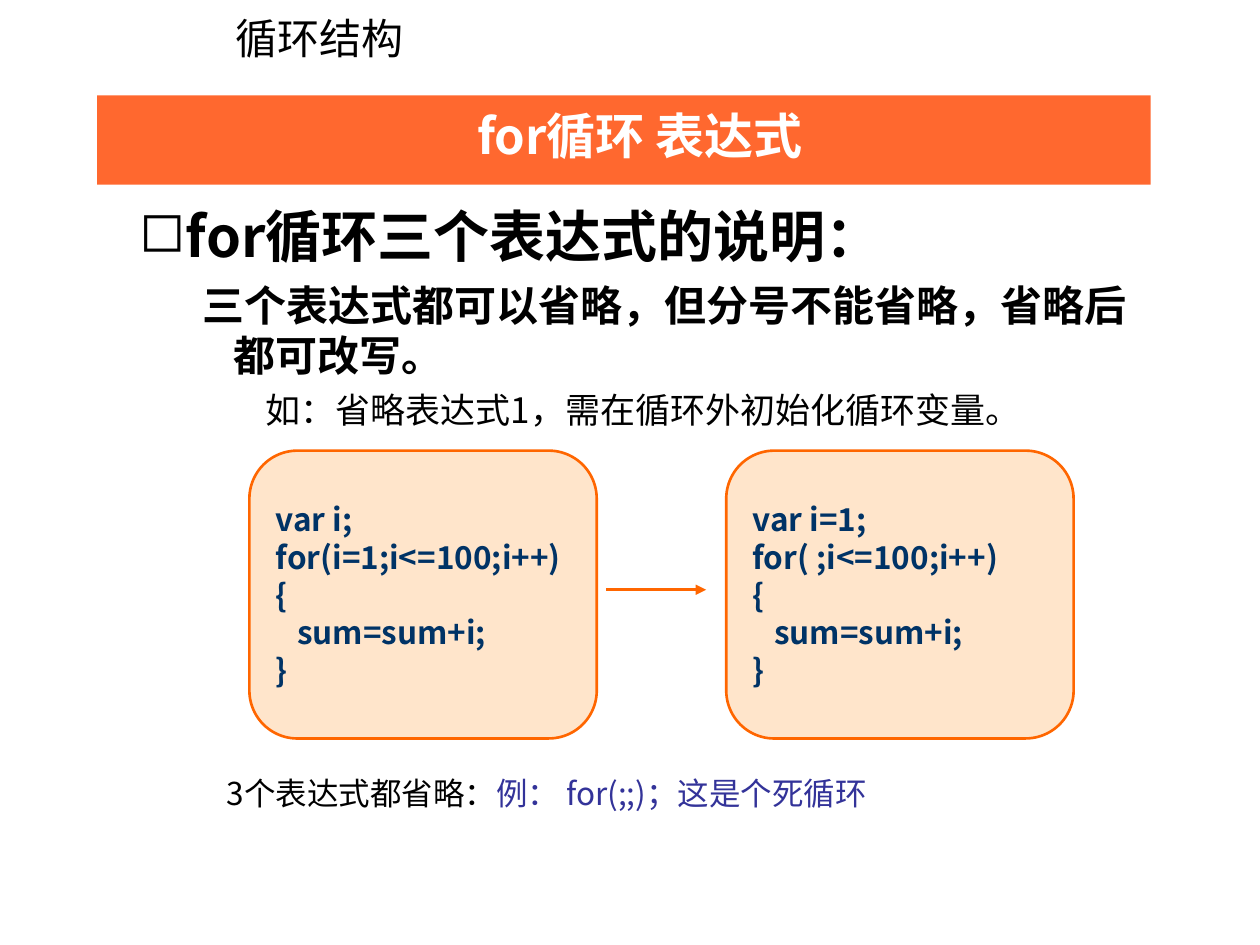
from dataclasses import dataclass

from lxml import etree
from pptx import Presentation
from pptx.dml.color import RGBColor
from pptx.enum.shapes import MSO_CONNECTOR, MSO_SHAPE
from pptx.enum.text import MSO_ANCHOR, MSO_AUTO_SIZE, PP_ALIGN
from pptx.oxml.ns import qn
from pptx.util import Pt

RECTANGLE = MSO_SHAPE.RECTANGLE
CODE_SHAPE = MSO_SHAPE.FLOWCHART_ALTERNATE_PROCESS
STRAIGHT = MSO_CONNECTOR.STRAIGHT
MIDDLE = MSO_ANCHOR.MIDDLE
GROW = MSO_AUTO_SIZE.SHAPE_TO_FIT_TEXT
LEFT, CENTER = PP_ALIGN.LEFT, PP_ALIGN.CENTER


@dataclass(frozen=True)
class Theme:
    """Colours, fonts and type sizes of the slide."""
    black: str = "000000"
    white: str = "FFFFFF"
    banner: str = "FF682F"
    accent: str = "FF6600"
    panel: str = "FFCC99"
    code: str = "003366"
    example: str = "333399"
    font: str = "Noto Sans CJK SC"
    plain_font: str = "Arial"
    heading: int = 32
    banner_size: int = 28
    title: int = 24
    detail: int = 20
    small: int = 18
    line: float = 1.5


THEME = Theme()


def add_run(paragraph, text, *, size, color=THEME.black, bold=False, font=THEME.font):
    """Add a formatted run of text to a paragraph."""
    run = paragraph.add_run()
    run.text = text
    run.font.size = Pt(size)
    run.font.bold = bold
    run.font.name = font
    run.font.color.rgb = RGBColor.from_string(color)
    east_asian = etree.Element(qn("a:ea"), typeface=THEME.font)
    run.font._element.find(qn("a:latin")).addnext(east_asian)


def format_paragraph(paragraph, *, level=0, margin=0, indent=0, before=0, bullet=None):
    """Set the level, indents, spacing and bullet of a paragraph."""
    paragraph.level = level
    paragraph.space_before = Pt(before)
    properties = paragraph._p.get_or_add_pPr()
    properties.set("marL", str(Pt(margin)))
    properties.set("indent", str(Pt(indent)))
    if bullet:
        color = etree.SubElement(properties, qn("a:buClr"))
        etree.SubElement(color, qn("a:srgbClr"), val=THEME.black)
        etree.SubElement(properties, qn("a:buChar"), char=bullet)
    else:
        etree.SubElement(properties, qn("a:buNone"))


def add_text_frame(slide, box, grow=True):
    """Add a wrapping text box and return its text frame."""
    frame = slide.shapes.add_textbox(*map(Pt, box)).text_frame
    frame.word_wrap = True
    if grow:
        frame.auto_size = GROW
    return frame


def add_title(slide, box):
    """Place the chapter title."""
    paragraph = add_text_frame(slide, box).paragraphs[0]
    add_run(paragraph, "循环结构", size=THEME.title)


def add_banner(slide, box):
    """Place the coloured banner and its centred caption."""
    left, top, width, height = box
    banner = slide.shapes.add_shape(RECTANGLE, *map(Pt, box))
    banner.shadow.inherit = False
    banner.fill.solid()
    banner.fill.fore_color.rgb = RGBColor.from_string(THEME.banner)
    banner.line.fill.background()
    caption_box = (left + 38, top + 2.5, width - 57.5, height - 10)
    paragraph = add_text_frame(slide, caption_box).paragraphs[0]
    paragraph.alignment = CENTER
    add_run(paragraph, "for循环 表达式", size=THEME.banner_size,
            color=THEME.white, bold=True)


def add_explanation(slide, box):
    """Place the heading, the rule and its detail at three levels."""
    frame = add_text_frame(slide, box, grow=False)
    heading = frame.paragraphs[0]
    format_paragraph(heading, level=1, margin=58.5, indent=-22.5, bullet="◻")
    add_run(heading, "for循环三个表达式的说明：", size=THEME.heading, bold=True)

    rule = frame.add_paragraph()
    format_paragraph(rule, level=2, margin=90, indent=-18, before=6)
    add_run(rule, "三个表达式都可以省略，但分号不能省略，省略后都可改写。",
            size=THEME.title, bold=True)

    detail = frame.add_paragraph()
    format_paragraph(detail, level=3, margin=126, indent=-18, before=5)
    for text, font in (("如：省略表达式", THEME.plain_font), ("1", THEME.font),
                       ("，需在循环外初始化循环变量。", THEME.plain_font)):
        add_run(detail, text, size=THEME.detail, font=font)


def add_code_panel(slide, box, lines):
    """Place a half-transparent rounded panel of code lines."""
    panel = slide.shapes.add_shape(CODE_SHAPE, *map(Pt, box))
    panel.shadow.inherit = False
    panel.fill.solid()
    panel.fill.fore_color.rgb = RGBColor.from_string(THEME.panel)
    color = panel._element.spPr.find(qn("a:solidFill")).find(qn("a:srgbClr"))
    etree.SubElement(color, qn("a:alpha"), val="50000")
    panel.line.color.rgb = RGBColor.from_string(THEME.accent)
    panel.line.width = Pt(THEME.line)
    frame = panel.text_frame
    frame.word_wrap = False
    frame.vertical_anchor = MIDDLE
    for index, text in enumerate(lines):
        paragraph = frame.add_paragraph() if index else frame.paragraphs[0]
        paragraph.alignment = LEFT
        add_run(paragraph, text, size=THEME.small, color=THEME.code, bold=True)


def add_arrow(slide, start, end, y):
    """Place a horizontal arrow."""
    arrow = slide.shapes.add_connector(STRAIGHT, Pt(start), Pt(y), Pt(end), Pt(y))
    arrow.line.color.rgb = RGBColor.from_string(THEME.accent)
    arrow.line.width = Pt(THEME.line)
    etree.SubElement(arrow.line._get_or_add_ln(), qn("a:tailEnd"), type="triangle")
    etree.SubElement(arrow._element.spPr, qn("a:effectLst"))


def add_comparison(slide, box):
    """Place the two code panels with the arrow between them."""
    left, top, width, height = box
    panel_width = 198.5
    right = left + width - panel_width
    body = ("{", "   sum=sum+i;", "}")
    add_code_panel(slide, (left, top, panel_width, height),
                   ("var i;", "for(i=1;i<=100;i++)", *body))
    add_code_panel(slide, (right, top, panel_width, height),
                   ("var i=1;", "for( ;i<=100;i++)", *body))
    add_arrow(slide, left + panel_width + 5.5, right - 11.5, top + 79.5)


def add_example(slide, box):
    """Place the closing example."""
    paragraph = add_text_frame(slide, box).paragraphs[0]
    format_paragraph(paragraph, level=3, margin=108)
    add_run(paragraph, "3个表达式都省略：", size=THEME.small)
    add_run(paragraph, "例： for(;;)；这是个死循环", size=THEME.small,
            color=THEME.example)


def main():
    """Build and save the slide."""
    presentation = Presentation()
    presentation.slide_width, presentation.slide_height = Pt(720), Pt(540)
    slide = presentation.slides.add_slide(presentation.slide_layouts[6])
    add_banner(slide, (55.5, 54.5, 602, 51))
    add_title(slide, (127.5, 3.5, 186, 36))
    add_explanation(slide, (36.5, 111.5, 627, 147.5))
    add_comparison(slide, (142.5, 257.5, 471, 164.5))
    add_example(slide, (14.5, 439, 544.5, 29))
    presentation.save("out.pptx")


if __name__ == "__main__":
    main()
